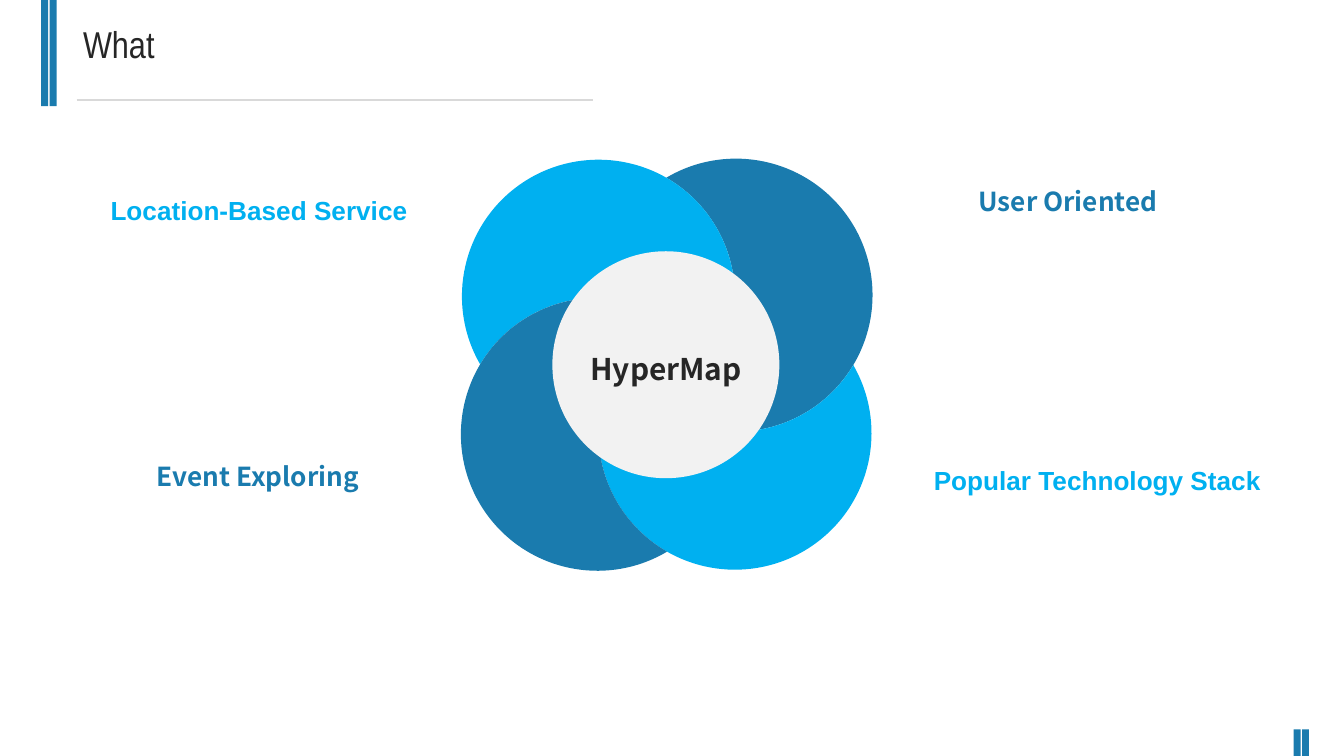
from math import acos, atan2, cos, dist, pi, sin, tan
from lxml.etree import SubElement
from pptx import Presentation
from pptx.dml.color import RGBColor
from pptx.enum.shapes import MSO_CONNECTOR, MSO_SHAPE
from pptx.enum.text import MSO_AUTO_SIZE, PP_ALIGN
from pptx.oxml.ns import qn
from pptx.util import Cm, Pt

COLORS = {"blue": "1A7BAE", "sky": "00B0F0", "ink": "262626", "rule": "D9D9D9", "hub": "F2F2F2"}
RADIUS = 2.58
TILT = 45


def paint(shape, color):
    shape.shadow.inherit = False
    shape.fill.solid()
    shape.fill.fore_color.rgb = RGBColor.from_string(COLORS[color])
    shape.line.fill.background()


def add_arc(outline, x, y, start, end, pieces):
    step = (end - start) / pieces
    pull = 4 / 3 * tan(step / 4)
    for piece in range(pieces):
        a = start + piece * step
        b = a + step
        curve = SubElement(outline, qn("a:cubicBezTo"))
        for dx, dy in [
            (cos(a) - pull * sin(a), sin(a) + pull * cos(a)),
            (cos(b) + pull * sin(b), sin(b) - pull * cos(b)),
            (cos(b), sin(b)),
        ]:
            SubElement(curve, qn("a:pt"), x=str(Cm(x + RADIUS * dx)), y=str(Cm(y + RADIUS * dy)))


prs = Presentation()
prs.slide_width, prs.slide_height = Cm(25.4), Cm(14.29)
slide = prs.slides.add_slide(prs.slide_layouts[6])
shapes = slide.shapes

for left, top, height in [(0.78, 0, 2.01), (0.94, 0, 2.01), (24.61, 13.79, 0.5), (24.45, 13.79, 0.5)]:
    bar = shapes.add_shape(MSO_SHAPE.RECTANGLE, Cm(left), Cm(top), Cm(0.13), Cm(height))
    paint(bar, "blue")

title_rule = shapes.add_connector(MSO_CONNECTOR.STRAIGHT, Cm(1.45), Cm(1.89), Cm(11.2), Cm(1.89))
title_rule.line.color.rgb = RGBColor.from_string(COLORS["rule"])
title_rule.line.width = Pt(0.75)
SubElement(title_rule._element.spPr, qn("a:effectLst"))

petals = [
    ((13.91, 5.58), (11.31, 5.6), "blue"),
    ((11.31, 5.6), (11.29, 8.21), "sky"),
    ((13.89, 8.19), (13.91, 5.58), "sky"),
    ((11.29, 8.21), (13.89, 8.19), "blue"),
]
for center, cover, color in petals:
    left, top = (value - RADIUS for value in center)
    gap = dist(center, cover)
    toward = atan2(cover[1] - center[1], cover[0] - center[0]) - TILT * pi / 180
    half = acos(gap / 2 / RADIUS)
    builder = shapes.build_freeform(Cm(left), Cm(top))
    builder.add_line_segments([(Cm(left + 2 * RADIUS), Cm(top + 2 * RADIUS))], close=False)
    petal = builder.convert_to_shape()
    outline = petal._element.spPr.find(".//" + qn("a:path"))
    for segment in list(outline):
        outline.remove(segment)
    start = SubElement(outline, qn("a:moveTo"))
    first = toward + half
    SubElement(start, qn("a:pt"), x=str(Cm(RADIUS * (1 + cos(first)))), y=str(Cm(RADIUS * (1 + sin(first)))))
    add_arc(outline, RADIUS, RADIUS, first, toward + 2 * pi - half, 3)
    cover_x, cover_y = RADIUS + gap * cos(toward), RADIUS + gap * sin(toward)
    add_arc(outline, cover_x, cover_y, toward + pi + half, toward + pi - half, 2)
    SubElement(outline, qn("a:close"))
    petal.rotation = TILT
    paint(petal, color)

hub = shapes.add_shape(MSO_SHAPE.OVAL, Cm(10.44), Cm(4.75), Cm(4.29), Cm(4.29))
paint(hub, "hub")

labels = [
    ("What", 1.32, 0.28, 10.74, 1.12, 20, "Arial Narrow", "ink", False, PP_ALIGN.LEFT),
    ("HyperMap", 10.67, 6.5, 3.84, 0.94, 16, "Noto Sans CJK SC", "ink", True, PP_ALIGN.CENTER),
    ("Location-Based Service", 1.84, 3.55, 7.14, 0.86, 14, "Arial", "sky", True, PP_ALIGN.LEFT),
    ("Event Exploring", 2.71, 8.57, 5.38, 0.86, 14, "Noto Sans CJK SC", "blue", True, PP_ALIGN.LEFT),
    ("User Oriented", 16.75, 3.38, 5.38, 0.86, 14, "Noto Sans CJK SC", "blue", True, PP_ALIGN.RIGHT),
    ("Popular Technology Stack", 16.97, 8.65, 7.11, 0.86, 14, "Arial", "sky", True, PP_ALIGN.RIGHT),
]
for wording, left, top, width, height, size, face, color, bold, align in labels:
    label = shapes.add_textbox(Cm(left), Cm(top), Cm(width), Cm(height))
    frame = label.text_frame
    frame.word_wrap = True
    frame.auto_size = MSO_AUTO_SIZE.SHAPE_TO_FIT_TEXT
    paragraph = frame.paragraphs[0]
    paragraph.text = wording
    paragraph.alignment = align
    paragraph.font.size = Pt(size)
    paragraph.font.name = face
    paragraph.font.bold = bold
    paragraph.font.color.rgb = RGBColor.from_string(COLORS[color])

prs.save("out.pptx")
